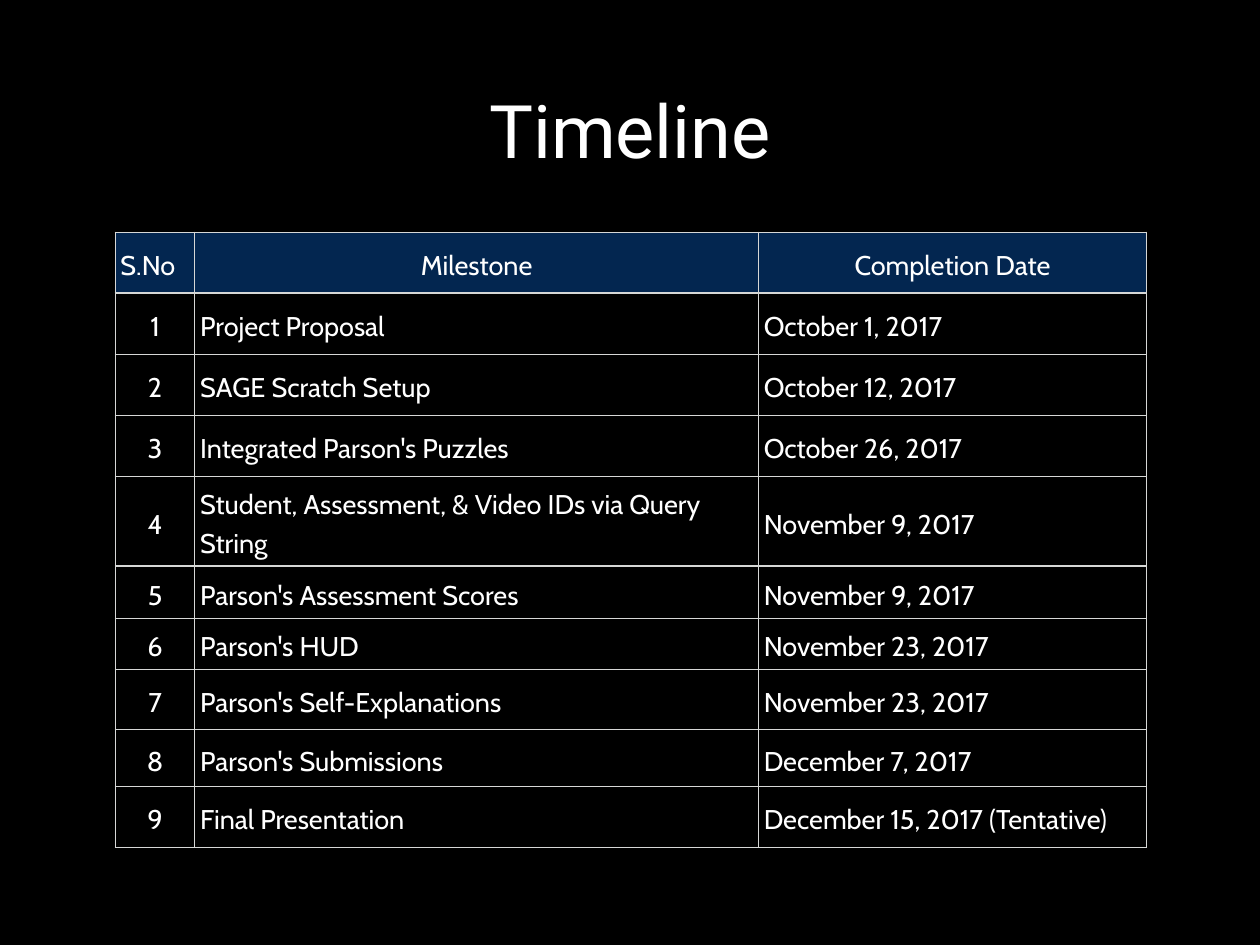
from pptx import Presentation
from pptx.dml.color import RGBColor
from pptx.enum.text import MSO_ANCHOR as ANCHOR, MSO_AUTO_SIZE as AUTO, PP_ALIGN as ALIGN
from pptx.oxml.xmlchemy import OxmlElement
from pptx.util import Inches, Pt

BLACK = RGBColor(0x00, 0x00, 0x00)
WHITE = RGBColor(0xFF, 0xFF, 0xFF)
NAVY = RGBColor(0x03, 0x26, 0x50)
GRAY = RGBColor(0xD6, 0xD7, 0xD6)

SLIDE_W, SLIDE_H = Inches(14.22), Inches(10.67)
INSET = Inches(0.06)
MARGINS = {f"margin_{side}": INSET for side in ("left", "top", "right", "bottom")}
TITLE_FONT = {"name": "Roboto", "size": Pt(60), "bold": False}
CELL_FONT = {"name": "Cabin", "size": Pt(22), "bold": False}
CELL_PARAGRAPH = {"line_spacing": 1.2, "space_before": Pt(10)}

COL_WIDTHS = [0.9, 6.36, 4.38]
ROW_HEIGHT = 0.69
ROW_HEIGHTS = {4: 1.0, 5: 0.59, 6: 0.58, 7: 0.68, 8: 0.64}

HEADER = ("S.No", "Milestone", "Completion Date")
MILESTONES = [
    ("Project Proposal", "October 1, 2017"),
    ("SAGE Scratch Setup", "October 12, 2017"),
    ("Integrated Parson's Puzzles", "October 26, 2017"),
    ("Student, Assessment, & Video IDs via Query String", "November 9, 2017"),
    ("Parson's Assessment Scores", "November 9, 2017"),
    ("Parson's HUD", "November 23, 2017"),
    ("Parson's Self-Explanations", "November 23, 2017"),
    ("Parson's Submissions", "December 7, 2017"),
    ("Final Presentation", "December 15, 2017 (Tentative)"),
]


def apply(target, values):
    """Set each named attribute of target."""
    for name, value in values.items():
        setattr(target, name, value)


def write(tf, text, font, align):
    """Write one white paragraph and return it."""
    p = tf.paragraphs[0]
    p.alignment = align
    r = p.add_run()
    r.text = text
    apply(r.font, font)
    r.font.color.rgb = WHITE
    return p


def set_borders(cell, bottom):
    """Draw gray lines round a cell, with the bottom width given in points."""
    tc_pr = cell._tc.get_or_add_tcPr()
    for i, (side, width) in enumerate(zip("LRTB", (1, 1, 1, bottom))):
        ln = OxmlElement(f"a:ln{side}")
        ln.set("w", str(Pt(width)))
        fill = OxmlElement("a:solidFill")
        color = OxmlElement("a:srgbClr")
        color.set("val", str(GRAY))
        fill.append(color)
        ln.append(fill)
        tc_pr.insert(i, ln)


def add_title(slide, text):
    """Place and format the slide's title."""
    sp = slide.shapes.title
    apply(sp, {"left": Inches(1.04), "top": Inches(0.28),
               "width": Inches(12.14), "height": Inches(2.36)})
    tf = sp.text_frame
    apply(tf, {**MARGINS, "word_wrap": True, "auto_size": AUTO.NONE,
               "vertical_anchor": ANCHOR.MIDDLE})
    write(tf, text, TITLE_FONT, ALIGN.CENTER)


def fill_cell(cell, text, align, header):
    """Write a cell and set its fill and borders."""
    apply(cell, {**MARGINS, "vertical_anchor": ANCHOR.MIDDLE})
    p = write(cell.text_frame, text, CELL_FONT, align)
    apply(p, CELL_PARAGRAPH)
    if header:
        cell.fill.solid()
        cell.fill.fore_color.rgb = NAVY
    else:
        cell.fill.background()
    set_borders(cell, bottom=2 if header else 1)


def add_timeline(slide):
    """Add the table of numbered milestones and dates."""
    rows = [HEADER] + [(str(n), *m) for n, m in enumerate(MILESTONES, 1)]
    heights = [ROW_HEIGHTS.get(i, ROW_HEIGHT) for i in range(len(rows))]
    table = slide.shapes.add_table(
        len(rows), len(COL_WIDTHS), Inches(1.3), Inches(2.62),
        Inches(sum(COL_WIDTHS)), Inches(sum(heights))).table
    apply(table, {"first_row": False, "horz_banding": False})
    for col, width in zip(table.columns, COL_WIDTHS):
        col.width = Inches(width)
    for i, (row, height) in enumerate(zip(table.rows, heights)):
        row.height = Inches(height)
        for j, text in enumerate(rows[i]):
            centered = (i == 0) != (j == 0)
            fill_cell(table.cell(i, j), text,
                      ALIGN.CENTER if centered else ALIGN.LEFT, header=i == 0)


def main():
    """Build the timeline slide."""
    prs = Presentation()
    apply(prs, {"slide_width": SLIDE_W, "slide_height": SLIDE_H})
    slide = prs.slides.add_slide(prs.slide_layouts[5])
    slide.background.fill.solid()
    slide.background.fill.fore_color.rgb = BLACK
    add_title(slide, "Timeline")
    add_timeline(slide)
    prs.save("out.pptx")


main()
